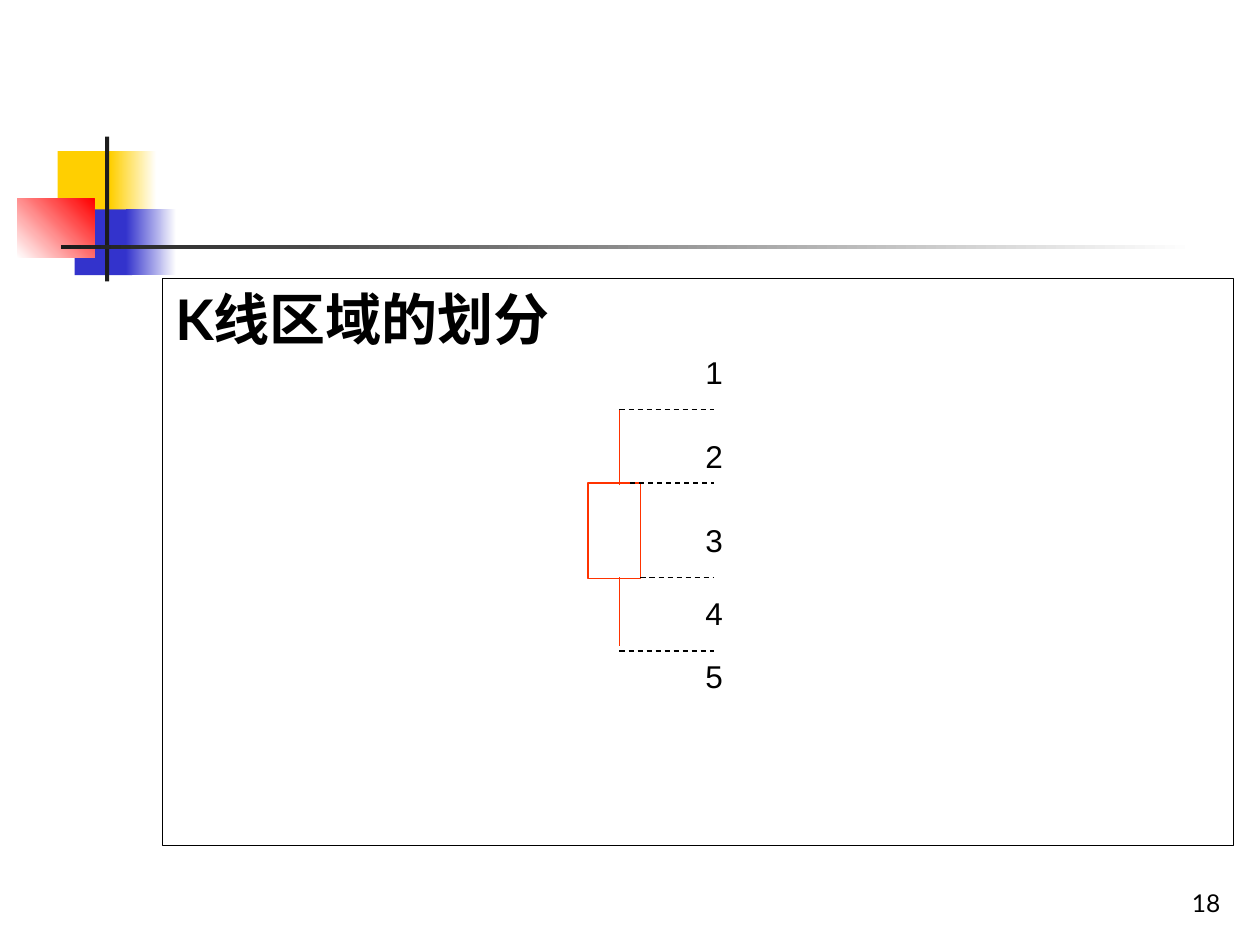
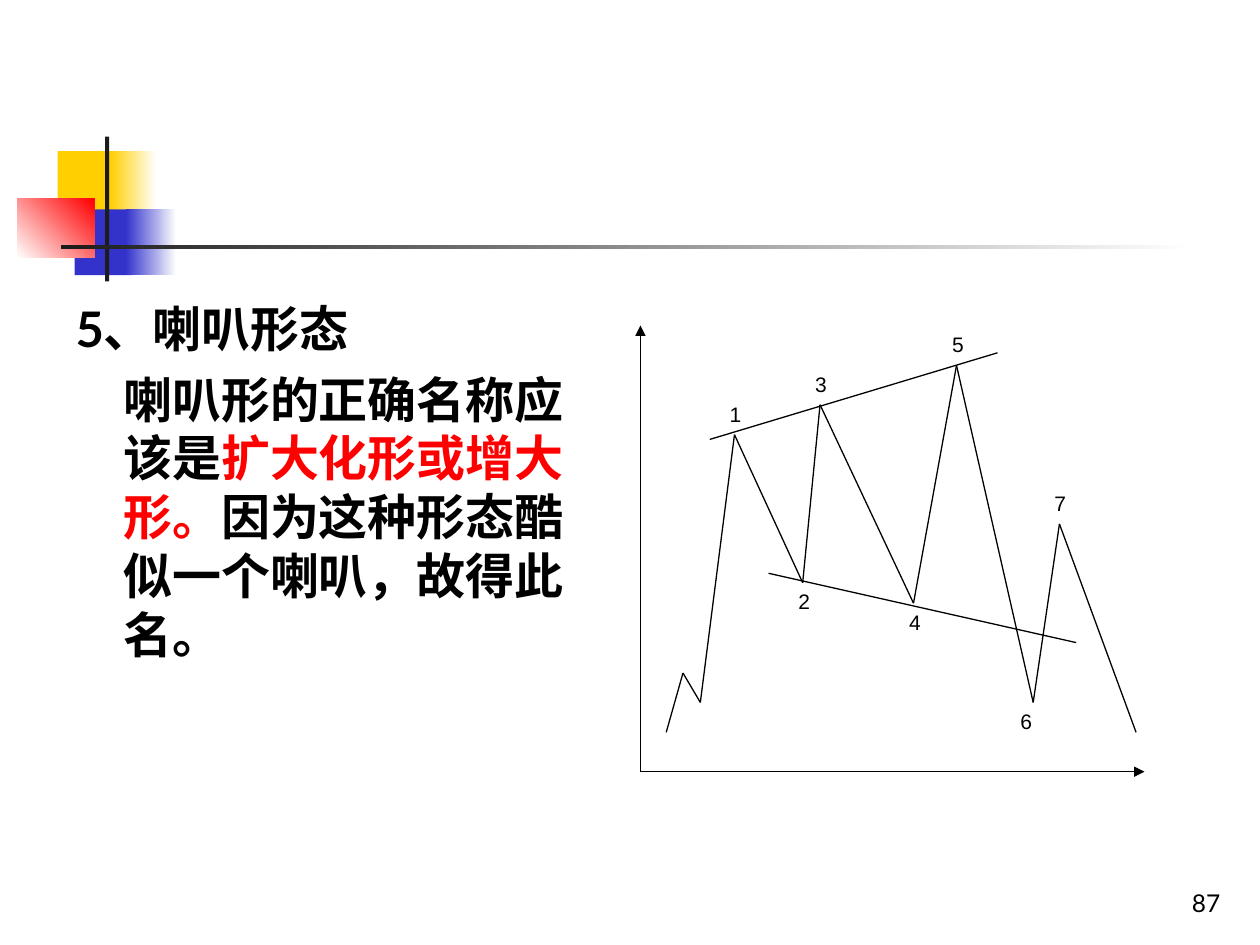
from itertools import pairwise
from typing import NamedTuple

from pptx import Presentation
from pptx.dml.color import RGBColor
from pptx.enum.dml import MSO_LINE_DASH_STYLE as Dash
from pptx.enum.shapes import MSO_CONNECTOR as Conn, MSO_SHAPE as Form
from pptx.enum.text import MSO_ANCHOR as Anchor, MSO_AUTO_SIZE as Fit, PP_ALIGN as Align
from pptx.oxml.ns import qn
from pptx.util import Inches, Pt
from lxml.etree import SubElement

# Shared style: a grid of 120 columns by 90 rows
WIDE, HIGH = Inches(10), Inches(7.5)
COLS, ROWS = 120, 90
BLACK, WHITE, RED, BRICK = "000000", "FFFFFF", "FF0000", "FF3300"
GOLD, BLUE, INK = "FFCF01", "3333CC", "1C1C1C"
HEAD, PLAIN = "Lato", "Arial"
THIN = Pt(0.75)


class Box(NamedTuple):
    col: float
    row: float
    cols: float
    rows: float


class Spot(NamedTuple):
    col: float
    row: float


class Block(NamedTuple):
    box: Box
    fill: str
    fade: str = ""  # second colour of a gradient
    angle: int = 0


class Stroke(NamedTuple):
    start: Spot
    end: Spot
    color: str = BLACK
    dash: bool = False
    arrow: bool = False


class Label(NamedTuple):
    text: str
    spot: Spot


BAND = [
    Block(Box(5.5, 14.4, 5.8, 6.2), GOLD),
    Block(Box(10.5, 14.4, 4.4, 6.2), GOLD, WHITE),
    Block(Box(7.1, 19.95, 5.5, 6.25), BLUE),
    Block(Box(12, 19.95, 4.8, 6.25), BLUE, WHITE),
    Block(Box(1.65, 18.95, 7.35, 5.6), WHITE, RED, 45),
    Block(Box(10, 13, 0.4, 13.8), INK),
    Block(Box(5.8, 23.35, 108, 0.4), INK, WHITE),
]


def rgb(code: str) -> RGBColor:
    return RGBColor.from_string(code)


def across(col: float) -> int:
    return round(WIDE * col / COLS)


def down(row: float) -> int:
    return round(HIGH * row / ROWS)


def place(box: Box) -> tuple[int, int, int, int]:
    return across(box.col), down(box.row), across(box.cols), down(box.rows)


def style(para, size: float, face: str, bold: bool = False) -> None:
    font = para.font
    font.size, font.name, font.bold = Pt(size), face, bold
    font.color.rgb = rgb(BLACK)


def outline(shape, color: str) -> None:
    shape.line.color.rgb = rgb(color)
    shape.line.width = THIN


def paint(slide, block: Block):
    shape = slide.shapes.add_shape(Form.RECTANGLE, *place(block.box))
    shape.shadow.inherit = False
    shape.line.fill.background()
    if block.fade:
        shape.fill.gradient()
        shape.fill.gradient_angle = block.angle
        for stop, code in zip(shape.fill.gradient_stops, (block.fill, block.fade)):
            stop.color.rgb = rgb(code)
    else:
        shape.fill.solid()
        shape.fill.fore_color.rgb = rgb(block.fill)
    return shape


def draw(slide, stroke: Stroke) -> None:
    (left, top), (right, low) = stroke.start, stroke.end
    line = slide.shapes.add_connector(
        Conn.STRAIGHT, across(left), down(top), across(right), down(low))
    outline(line, stroke.color)
    if stroke.dash:
        line.line.dash_style = Dash.DASH
    if stroke.arrow:
        SubElement(line.line._get_or_add_ln(), qn("a:tailEnd"), type="triangle")
    SubElement(line._element.spPr, qn("a:effectLst"))


def write(slide, box: Box, text: str, size: float, face: str, wrap: bool = True):
    frame = slide.shapes.add_textbox(*place(box)).text_frame
    frame.word_wrap = wrap
    para = frame.paragraphs[0]
    para.text = text
    style(para, size, face)
    return frame


def mark(slide, label: Label, size: float) -> None:
    write(slide, Box(*label.spot, 4.1, size / 4), label.text, size, PLAIN, False)


def begin(deck, title: str, box: Box, size: float, page: int):
    """Add a slide with its title, corner blocks and page number."""
    slide = deck.slides.add_slide(deck.slide_layouts[5])
    head = slide.shapes.title
    head.left, head.top, head.width, head.height = place(box)
    frame = head.text_frame
    frame.text = title
    frame.auto_size, frame.vertical_anchor = Fit.NONE, Anchor.TOP
    para = frame.paragraphs[0]
    para.alignment = Align.LEFT
    style(para, size, HEAD, True)
    for block in BAND:
        paint(slide, block)
    foot = write(slide, Box(92.4, 82, 25, 6), str(page), 14, HEAD)
    foot.vertical_anchor = Anchor.BOTTOM
    foot.paragraphs[0].alignment = Align.RIGHT
    return slide


def candle(deck) -> None:
    slide = begin(deck, "K线区域的划分", Box(15.5, 26.5, 102, 54), 32, 18)
    head = slide.shapes.title
    head.fill.solid()
    head.fill.fore_color.rgb = rgb(WHITE)
    outline(head, BLACK)

    # Candle body and wicks
    mid, edge = 59, 68
    high, top, base, low = 39, 46, 55, 62
    outline(paint(slide, Block(Box(56, top, 5, 9.1), WHITE)), BRICK)
    draw(slide, Stroke(Spot(mid, top + 0.2), Spot(mid, high), BRICK))
    draw(slide, Stroke(Spot(mid, base), Spot(mid, low - 0.5), BRICK))

    # Dashed zone limits and zone numbers
    for col, row in ((mid, high), (60, top), (61, base), (mid, low)):
        draw(slide, Stroke(Spot(col, row), Spot(edge, row), dash=True))
    for num, row in enumerate((33, 41, 49, 56, 62), 1):
        mark(slide, Label(str(num), Spot(66, row)), 18)


def horn(deck) -> None:
    slide = begin(deck, "5、喇叭形态", Box(6, 27.8, 49.2, 6.6), 28, 87)

    # Definition
    frame = write(slide, Box(6, 34.56, 49.2, 36), "", 28, HEAD)
    para = frame.paragraphs[0]
    props = para._p.get_or_add_pPr()
    props.set("marL", str(Inches(0.38)))
    props.set("indent", "0")
    style(para, 28, HEAD, True)
    for text, code in (("喇叭形的正确名称应该是", BLACK),
                       ("扩大化形或增大形。", RED),
                       ("因为这种形态酷似一个喇叭，故得此名。", BLACK)):
        run = para.add_run()
        run.text = text
        font = run.font
        font.size, font.name, font.bold = Pt(28), HEAD, True
        font.color.rgb = rgb(code)

    # Axes and the two widening limits
    root = Spot(61, 73.5)
    for end in (Spot(109, 73.5), Spot(61, 31)):
        draw(slide, Stroke(root, end, arrow=True))
    draw(slide, Stroke(Spot(67.6, 41.85), Spot(95, 33.6)))
    draw(slide, Stroke(Spot(73.2, 54.6), Spot(102.5, 61.2)))

    # Price path
    trail = [
        Spot(63.45, 69.75), Spot(65.05, 64.1), Spot(66.7, 66.9),
        Spot(69.95, 41.4), Spot(76.45, 55.5), Spot(78.1, 38.55),
        Spot(87, 57.45), Spot(91.1, 34.8), Spot(98.4, 66.9),
        Spot(100.9, 49.9), Spot(108.2, 69.75),
    ]
    for start, end in pairwise(trail):
        draw(slide, Stroke(start, end))

    # Turning points
    spots = [Spot(68.3, 37.6), Spot(74.85, 55.5), Spot(76.45, 34.8),
             Spot(85.4, 57.45), Spot(89.5, 31), Spot(96, 66.9), Spot(99.25, 46.1)]
    for num, spot in enumerate(spots, 1):
        mark(slide, Label(str(num), spot), 12)


def main() -> None:
    deck = Presentation()
    deck.slide_width, deck.slide_height = WIDE, HIGH
    candle(deck)
    horn(deck)
    deck.save("out.pptx")


if __name__ == "__main__":
    main()
